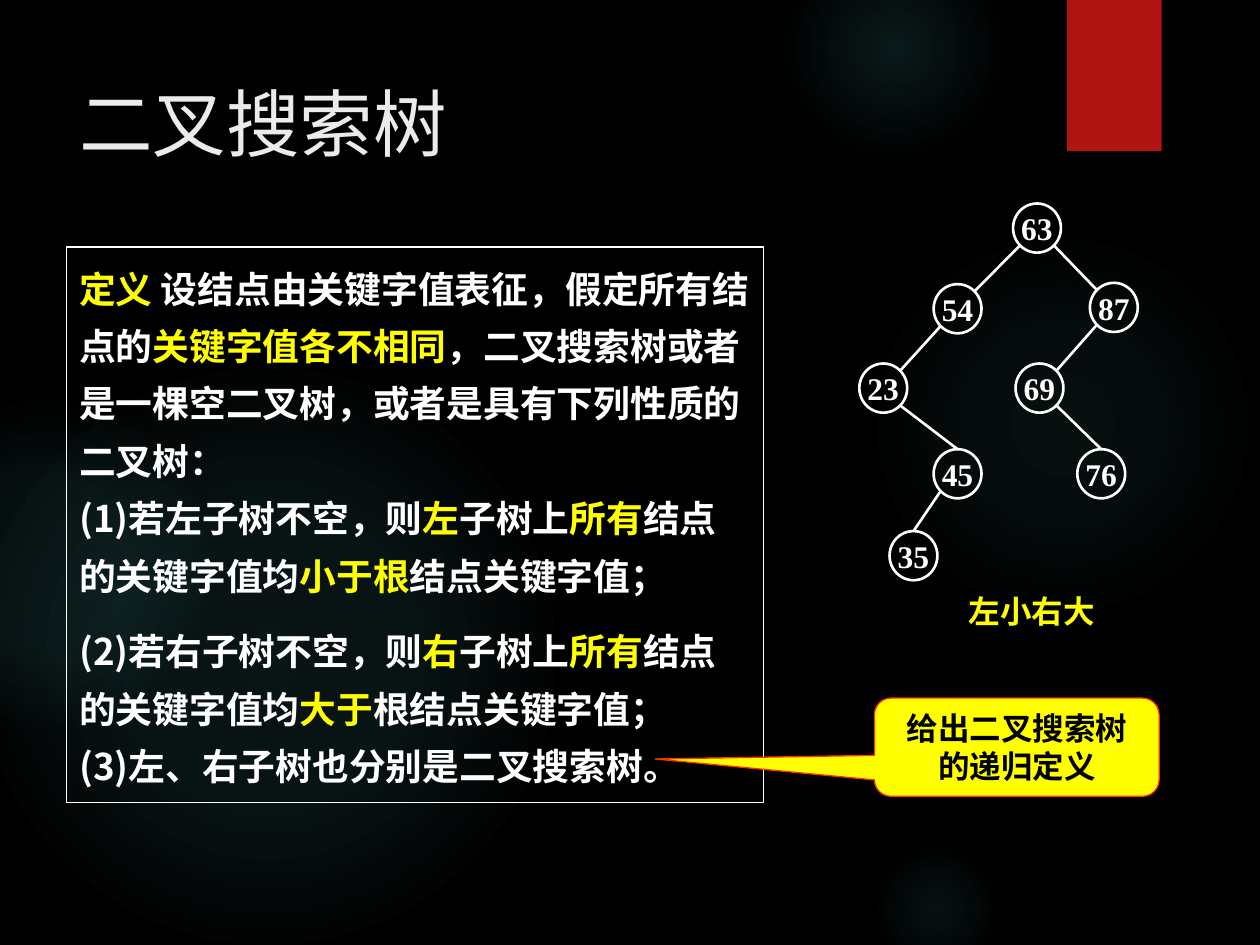
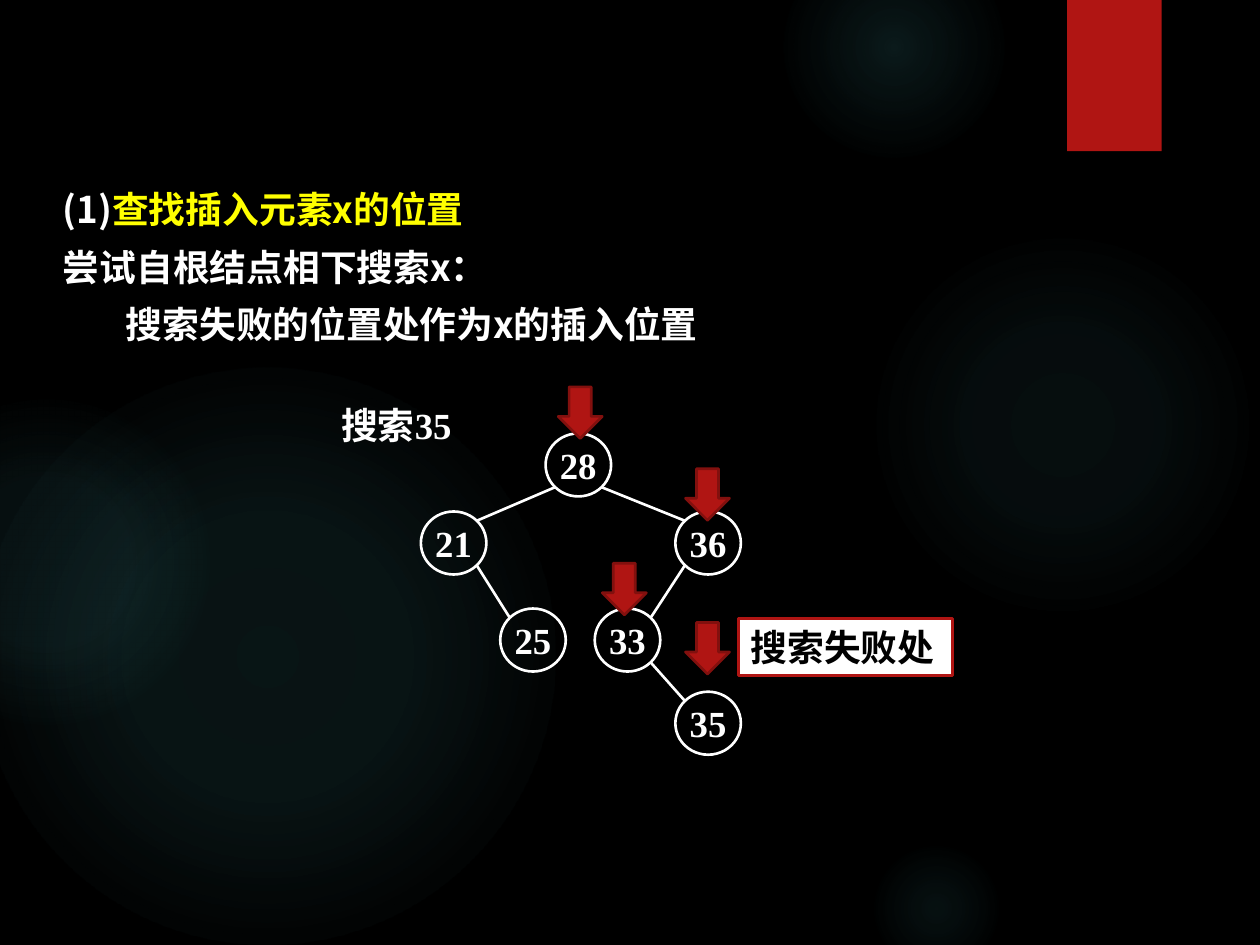
from dataclasses import dataclass

from lxml import etree
from pptx import Presentation
from pptx.dml.color import RGBColor
from pptx.enum.shapes import MSO_CONNECTOR, MSO_SHAPE
from pptx.enum.text import MSO_ANCHOR, PP_ALIGN
from pptx.oxml import parse_xml
from pptx.oxml.ns import nsdecls, qn
from pptx.util import Inches, Pt

OVAL = MSO_SHAPE.OVAL
RECTANGLE = MSO_SHAPE.RECTANGLE
DOWN_ARROW = MSO_SHAPE.DOWN_ARROW
CALLOUT = MSO_SHAPE.ROUNDED_RECTANGULAR_CALLOUT
STRAIGHT = MSO_CONNECTOR.STRAIGHT
LEFT, CENTER = PP_ALIGN.LEFT, PP_ALIGN.CENTER
TOP, MIDDLE = MSO_ANCHOR.TOP, MSO_ANCHOR.MIDDLE
DIAGONAL = 0.707
LINE_HEIGHT = 1.2


@dataclass(frozen=True)
class Theme:
    black: str = "000000"
    white: str = "FFFFFF"
    title: str = "EBEBEB"
    yellow: str = "FFFF00"
    red: str = "B01513"
    dark_red: str = "82100E"
    callout_line: str = "FF3300"
    glow: str = "50B9C1"
    sans: str = "Noto Sans CJK SC"
    serif: str = "Times New Roman"
    label: str = "Quicksand"
    title_size: float = 42
    body_size: float = 21
    small_size: float = 18
    thin: float = 0.75
    thick: float = 1.5


THEME = Theme()


@dataclass(frozen=True)
class Area:
    left: float
    top: float
    width: float
    height: float

    def lengths(self) -> tuple:
        return tuple(map(Inches, (self.left, self.top, self.width, self.height)))


@dataclass(frozen=True)
class Glow:
    left: float
    top: float
    size: float
    stops: tuple  # (position %, opacity %)


@dataclass(frozen=True)
class Style:
    size: float
    font: str
    color: str = THEME.white
    bold: bool = True
    align: PP_ALIGN = LEFT
    anchor: MSO_ANCHOR = TOP
    spacing: float = 1.0


@dataclass(frozen=True)
class Line:
    """A paragraph; the parts between asterisks are highlighted."""
    text: str
    before: float = 0
    indent: float = 0


@dataclass(frozen=True)
class Node:
    x: float
    y: float
    parent: str = ""
    joins_top: bool = False


@dataclass(frozen=True)
class Tree:
    nodes: dict
    width: float
    height: float
    text_size: float


GLOWS = (
    Glow(6.89, 1.83, 3.08, ((0, 7), (36, 6), (69, 0))),
    Glow(6.22, -0.5, 1.75, ((0, 14), (36, 7), (73, 0))),
    Glow(6.89, 6.67, 1.08, ((0, 9), (36, 5), (66, 0))),
    Glow(-0.17, 2.92, 4.58, ((0, 11), (36, 10), (75, 0))),
    Glow(-0.92, 3.17, 2.58, ((0, 8), (36, 8), (72, 0))),
)

TITLE = Style(THEME.title_size, THEME.serif, THEME.title, bold=False, spacing=1.1)
BODY = Style(THEME.body_size, THEME.sans, spacing=1.3)
CALLOUT_TEXT = Style(THEME.small_size, THEME.sans, THEME.black, align=CENTER, anchor=MIDDLE)
CAPTION = Style(THEME.small_size, THEME.serif, THEME.yellow)
SEARCH_KEY = Style(THEME.body_size, THEME.serif)
FAILURE = Style(THEME.body_size, THEME.label, THEME.black)

DEFINITION = (
    Line("*定义 *设结点由关键字值表征，假定所有结点的*关键字值各不相同*，"
         "二叉搜索树或者是一棵空二叉树，或者是具有下列性质的二叉树："),
    Line("(1)若左子树不空，则*左*子树上*所有*结点的关键字值均*小于根*结点关键字值；"),
    Line("(2)若右子树不空，则*右*子树上*所有*结点的关键字值均*大于*根结点关键字值；", before=10.5),
    Line("(3)左、右子树也分别是二叉搜索树。"),
)
INSERTION = (
    Line("(1)*查找插入元素x的位置*"),
    Line("尝试自根结点相下搜索x："),
    Line("搜索失败的位置处作为x的插入位置", indent=0.5),
)

# Node positions are circle centres.
DEFINITION_TREE = Tree({
    "63": Node(8.23, 1.81),
    "54": Node(7.6, 2.45, "63"),
    "87": Node(8.84, 2.44, "63"),
    "23": Node(7.01, 3.08, "54"),
    "69": Node(8.25, 3.08, "87"),
    "45": Node(7.6, 3.76, "23", joins_top=True),
    "76": Node(8.74, 3.76, "69", joins_top=True),
    "35": Node(7.25, 4.41, "45", joins_top=True),
}, 0.38, 0.39, THEME.small_size)
SEARCH_TREE = Tree({
    "28": Node(4.59, 3.69),
    "21": Node(3.6, 4.31, "28"),
    "36": Node(5.62, 4.31, "28"),
    "25": Node(4.23, 5.08, "21"),
    "33": Node(4.98, 5.08, "36"),
    "35": Node(5.62, 5.74, "33"),
}, 0.52, 0.5, THEME.body_size)
SEARCH_STEPS = ((4.43, 3.07), (5.44, 3.72), (4.78, 4.47), (5.44, 4.94))


def rgb(color: str) -> RGBColor:
    return RGBColor.from_string(color)


def add_shape(page, kind, area: Area, fill: str = "", line: str = "", width: float = THEME.thin):
    shape = page.shapes.add_shape(kind, *area.lengths())
    shape.shadow.inherit = False
    if fill:
        shape.fill.solid()
        shape.fill.fore_color.rgb = rgb(fill)
    else:
        shape.fill.background()
    if line:
        shape.line.color.rgb = rgb(line)
        shape.line.width = Pt(width)
    else:
        shape.line.fill.background()
    return shape


def set_font(para, style: Style) -> None:
    font = para.font
    font.size, font.name, font.bold = Pt(style.size), style.font, style.bold
    font.color.rgb = rgb(style.color)
    properties = para.runs[0].font
    for target in (font, *(span.font for span in para.runs)):
        if target is not font:
            target.size, target.name, target.bold = font.size, font.name, font.bold
    for element in para._p.iter(qn("a:latin")):
        east_asian = parse_xml(f'<a:ea {nsdecls("a")} typeface="{THEME.sans}"/>')
        element.addnext(east_asian)
    properties.language_id = None


def write(box, lines: tuple, style: Style) -> None:
    frame = box.text_frame
    frame.word_wrap = True
    frame.vertical_anchor = style.anchor
    for index, line in enumerate(lines):
        para = frame.add_paragraph() if index else frame.paragraphs[0]
        para.alignment = style.align
        para.line_spacing = Pt(round(style.size * style.spacing * LINE_HEIGHT, 1))
        para.space_before = Pt(line.before)
        if line.indent:
            para._p.get_or_add_pPr().set("indent", str(Inches(line.indent)))
        for part, text in enumerate(line.text.split("*")):
            if text:
                span = para.add_run()
                span.text = text
                span.font.color.rgb = rgb(THEME.yellow if part % 2 else style.color)
        set_font(para, style)


def add_text(page, area: Area, lines: tuple, style: Style) -> None:
    write(page.shapes.add_textbox(*area.lengths()), lines, style)


def add_glow(page, glow: Glow) -> None:
    shape = add_shape(page, OVAL, Area(glow.left, glow.top, glow.size, glow.size))
    stops = "".join(
        f'<a:gs pos="{position * 1000}"><a:srgbClr val="{THEME.glow}">'
        f'<a:alpha val="{opacity * 1000}"/></a:srgbClr></a:gs>'
        for position, opacity in glow.stops)
    gradient = parse_xml(
        f'<a:gradFill {nsdecls("a")}><a:gsLst>{stops}</a:gsLst><a:path path="circle">'
        '<a:fillToRect l="50000" t="50000" r="50000" b="50000"/></a:path></a:gradFill>')
    properties = shape._element.spPr
    properties.replace(properties.find(qn("a:noFill")), gradient)


def add_page(deck):
    page = deck.slides.add_slide(deck.slide_layouts[6])
    page.background.fill.solid()
    page.background.fill.fore_color.rgb = rgb(THEME.black)
    for glow in GLOWS:
        add_glow(page, glow)
    add_shape(page, RECTANGLE, Area(8.47, 0, 0.75, 1.2), THEME.red)
    return page


def add_node(page, key: str, node: Node, tree: Tree):
    area = Area(node.x - tree.width / 2, node.y - tree.height / 2, tree.width, tree.height)
    circle = add_shape(page, OVAL, area, line=THEME.white, width=THEME.thick)
    frame = circle.text_frame
    frame.word_wrap = False
    frame.vertical_anchor = MIDDLE
    frame.margin_left = frame.margin_right = Inches(0.07)
    frame.margin_top = frame.margin_bottom = Inches(0.04)
    para = frame.paragraphs[0]
    para.alignment = CENTER
    span = para.add_run()
    span.text = key
    span.font.color.rgb = rgb(THEME.white)
    set_font(para, Style(tree.text_size, THEME.serif))
    return circle


def add_edge(page, parent: Node, child: Node, circle, tree: Tree) -> None:
    """Join the facing diagonal points of two circles, or end at the child's top."""
    side = 1 if child.x > parent.x else -1
    dx, dy = side * tree.width / 2 * DIAGONAL, tree.height / 2 * DIAGONAL
    ends = (parent.x + dx, parent.y + dy, child.x - dx, child.y - dy)
    edge = page.shapes.add_connector(STRAIGHT, *map(Inches, ends))
    if child.joins_top:
        edge.end_connect(circle, 0)
    edge.line.color.rgb = rgb(THEME.white)
    edge.line.width = Pt(THEME.thick)
    etree.SubElement(edge._element.spPr, qn("a:effectLst"))


def add_tree(page, tree: Tree) -> None:
    for key, node in tree.nodes.items():
        circle = add_node(page, key, node, tree)
        if node.parent:
            add_edge(page, tree.nodes[node.parent], node, circle, tree)


def build_definition(deck) -> None:
    page = add_page(deck)
    add_text(page, Area(0.53, 0.5, 7.72, 1.53), (Line("二叉搜索树"),), TITLE)
    panel = add_shape(page, RECTANGLE, Area(0.53, 1.96, 5.53, 4.41), line=THEME.white)
    write(panel, DEFINITION, BODY)
    callout = add_shape(page, CALLOUT, Area(6.94, 5.54, 2.26, 0.78),
                        THEME.yellow, THEME.callout_line)
    for index, value in enumerate((-1.27, 0.12, 0.17)):
        callout.adjustments[index] = value
    write(callout, (Line("给出二叉搜索树的递归定义"),), CALLOUT_TEXT)
    add_tree(page, DEFINITION_TREE)
    add_text(page, Area(7.59, 4.65, 1.42, 0.4), (Line("左小右大"),), CAPTION)


def build_search(deck) -> None:
    page = add_page(deck)
    add_text(page, Area(0.4, 1.33, 9.15, 1.48), INSERTION, BODY)
    add_tree(page, SEARCH_TREE)
    add_text(page, Area(2.61, 3.15, 1.98, 0.45), (Line("搜索35"),), SEARCH_KEY)
    for left, top in SEARCH_STEPS:
        add_shape(page, DOWN_ARROW, Area(left, top, 0.35, 0.41),
                  THEME.red, THEME.dark_red, THEME.thick)
    failure = add_shape(page, RECTANGLE, Area(5.86, 4.91, 1.7, 0.45),
                        THEME.white, THEME.red, THEME.thick)
    write(failure, (Line("搜索失败处"),), FAILURE)


def main() -> None:
    deck = Presentation()
    deck.slide_width, deck.slide_height = Inches(10), Inches(7.5)
    build_definition(deck)
    build_search(deck)
    deck.save("out.pptx")


if __name__ == "__main__":
    main()
